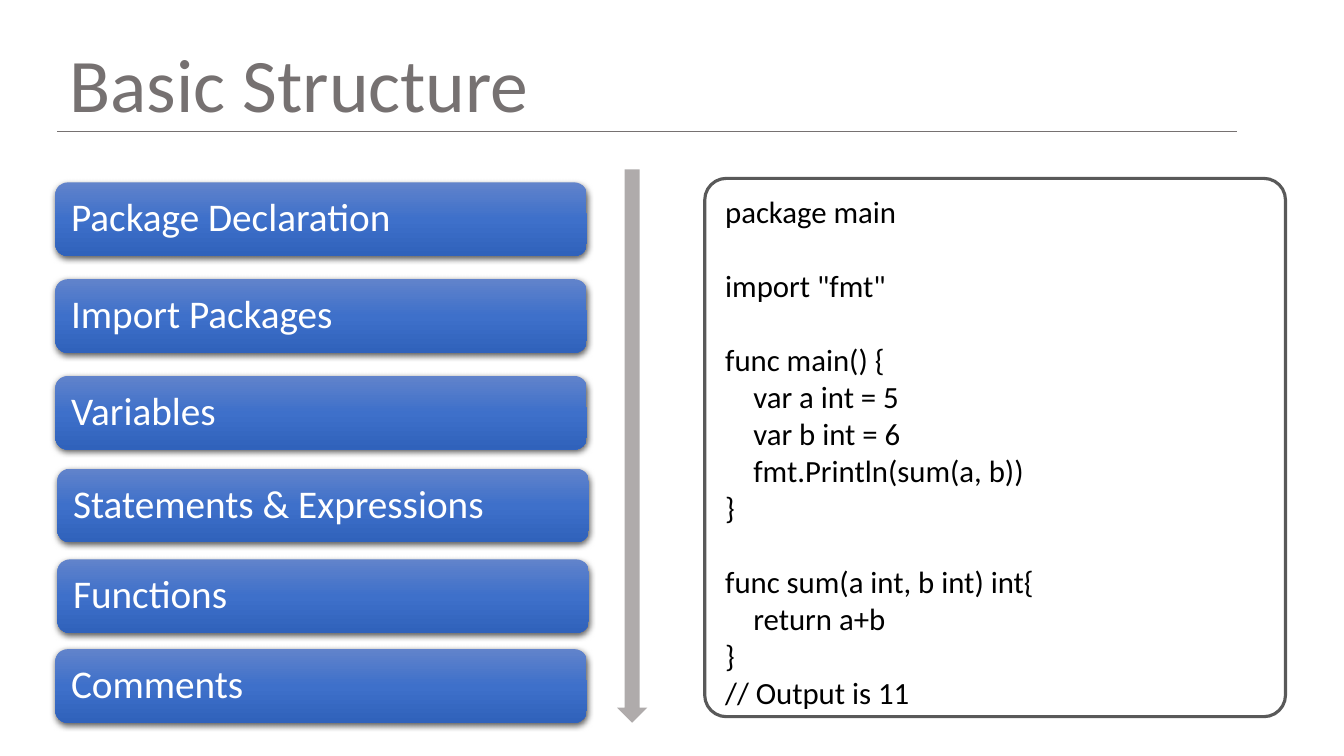
from pptx import Presentation
from pptx.dml.color import RGBColor
from pptx.enum.shapes import MSO_CONNECTOR, MSO_SHAPE
from pptx.enum.text import MSO_ANCHOR, MSO_AUTO_SIZE, PP_ALIGN
from pptx.oxml import parse_xml
from pptx.oxml.ns import nsdecls
from pptx.util import Pt

PX = 9144
WHITE = RGBColor(0xFF, 0xFF, 0xFF)
BLACK = RGBColor(0x00, 0x00, 0x00)
GREY = RGBColor(0x76, 0x71, 0x71)
ARROW_GREY = RGBColor(0xAF, 0xAB, 0xAB)
FRAME_GREY = RGBColor(0x59, 0x59, 0x59)
BAR_STOPS = [
    (0, RGBColor(0x61, 0x83, 0xCB)),
    (50, RGBColor(0x3E, 0x70, 0xCA)),
    (100, RGBColor(0x30, 0x62, 0xBB)),
]

TITLE = "Basic Structure"
BAR_SIZE = (527, 73)
BARS = [
    ("Package Declaration", 55, 181),
    ("Import Packages", 55, 277),
    ("Variables", 55, 373),
    ("Statements & Expressions", 57, 465),
    ("Functions", 57, 555),
    ("Comments", 55, 644),
]
CODE_BLOCKS = [
    [("package main", 0)],
    [('import "fmt"', 0)],
    [
        ("func main() {", 0),
        ("var a int = 5", 1),
        ("var b int = 6", 1),
        ("fmt.Println(sum(a, b))", 1),
        ("}", 0),
    ],
    [
        ("func sum(a int, b int) int{", 0),
        ("return a+b", 1),
        ("}", 0),
        ("// Output is 11", 0),
    ],
]
CODE_INDENT = 28
CODE_GAP = Pt(26.5)


def place(shape, *bounds):
    shape.left, shape.top, shape.width, shape.height = [n * PX for n in bounds]


def add_shape(page, kind, *bounds):
    shape = page.shapes.add_shape(kind, *[n * PX for n in bounds])
    shape.shadow.inherit = False
    shape.line.fill.background()
    return shape


def set_insets(frame, side, top, bottom):
    frame.margin_left = frame.margin_right = side * PX
    frame.margin_top = top * PX
    frame.margin_bottom = bottom * PX


def format_text(para, size, color):
    para.alignment = PP_ALIGN.LEFT
    for span in para.runs:
        span.font.name = "Calibri"
        span.font.size = Pt(size)
        span.font.color.rgb = color


def add_title(page):
    title = page.shapes.title
    place(title, 59, 32, 498, 101)
    frame = title.text_frame
    frame.text = TITLE
    frame.auto_size = MSO_AUTO_SIZE.NONE
    frame.word_wrap = False
    frame.vertical_anchor = MSO_ANCHOR.TOP
    format_text(frame.paragraphs[0], 54, GREY)
    rule = page.shapes.add_connector(
        MSO_CONNECTOR.STRAIGHT, 57 * PX, 130 * PX, 1227 * PX, 130 * PX
    )
    rule.line.color.rgb = GREY
    rule.line.width = Pt(0.5)
    rule.element.spPr.append(parse_xml(f"<a:effectLst {nsdecls('a')}/>"))


def add_bar(page, label, left, top):
    bar = add_shape(page, MSO_SHAPE.ROUNDED_RECTANGLE, left, top, *BAR_SIZE)
    stops = "".join(
        f'<a:gs pos="{pos * 1000}"><a:srgbClr val="{color}"/></a:gs>'
        for pos, color in BAR_STOPS
    )
    properties = bar.element.spPr
    properties.insert(2, parse_xml(
        f'<a:gradFill {nsdecls("a")} rotWithShape="1"><a:gsLst>{stops}</a:gsLst>'
        '<a:lin ang="5400000" scaled="0"/></a:gradFill>'
    ))
    properties[-1].append(parse_xml(
        f'<a:outerShdw {nsdecls("a")} blurRad="{Pt(4.5)}" dist="{Pt(1.5)}" '
        'dir="5400000" algn="ctr" rotWithShape="0"><a:srgbClr val="000000">'
        '<a:alpha val="63000"/></a:srgbClr></a:outerShdw>'
    ))
    frame = bar.text_frame
    frame.text = label
    frame.word_wrap = True
    frame.vertical_anchor = MSO_ANCHOR.MIDDLE
    set_insets(frame, 12, 12, 12)
    frame.paragraphs[0].line_spacing = 0.9
    format_text(frame.paragraphs[0], 28, WHITE)


def add_code(page):
    panel = add_shape(page, MSO_SHAPE.ROUNDED_RECTANGLE, 699, 177, 576, 534)
    panel.adjustments[0] = 0.04
    panel.fill.background()
    panel.line.color.rgb = FRAME_GREY
    panel.line.width = Pt(2.25)
    frame = panel.text_frame
    frame.word_wrap = True
    frame.vertical_anchor = MSO_ANCHOR.TOP
    set_insets(frame, 14, 8, 0)
    lines = [
        (text, level, block > 0 and row == 0)
        for block, rows in enumerate(CODE_BLOCKS)
        for row, (text, level) in enumerate(rows)
    ]
    frame.text = "\n".join(text for text, level, gap in lines)
    for para, (text, level, gap) in zip(frame.paragraphs, lines):
        format_text(para, 22, BLACK)
        if gap:
            para.space_before = CODE_GAP
        if level:
            indent = level * CODE_INDENT * PX
            para._p.get_or_add_pPr().set("marL", str(indent))


def main():
    """Build the slide on the basic structure of a program."""
    deck = Presentation()
    deck.slide_width, deck.slide_height = 1333 * PX, 750 * PX
    page = deck.slides.add_slide(deck.slide_layouts[5])
    add_title(page)
    for bar in BARS:
        add_bar(page, *bar)
    arrow = add_shape(page, MSO_SHAPE.DOWN_ARROW, 612, 168, 30, 549)
    arrow.fill.solid()
    arrow.fill.fore_color.rgb = ARROW_GREY
    add_code(page)
    deck.save("out.pptx")


if __name__ == "__main__":
    main()
